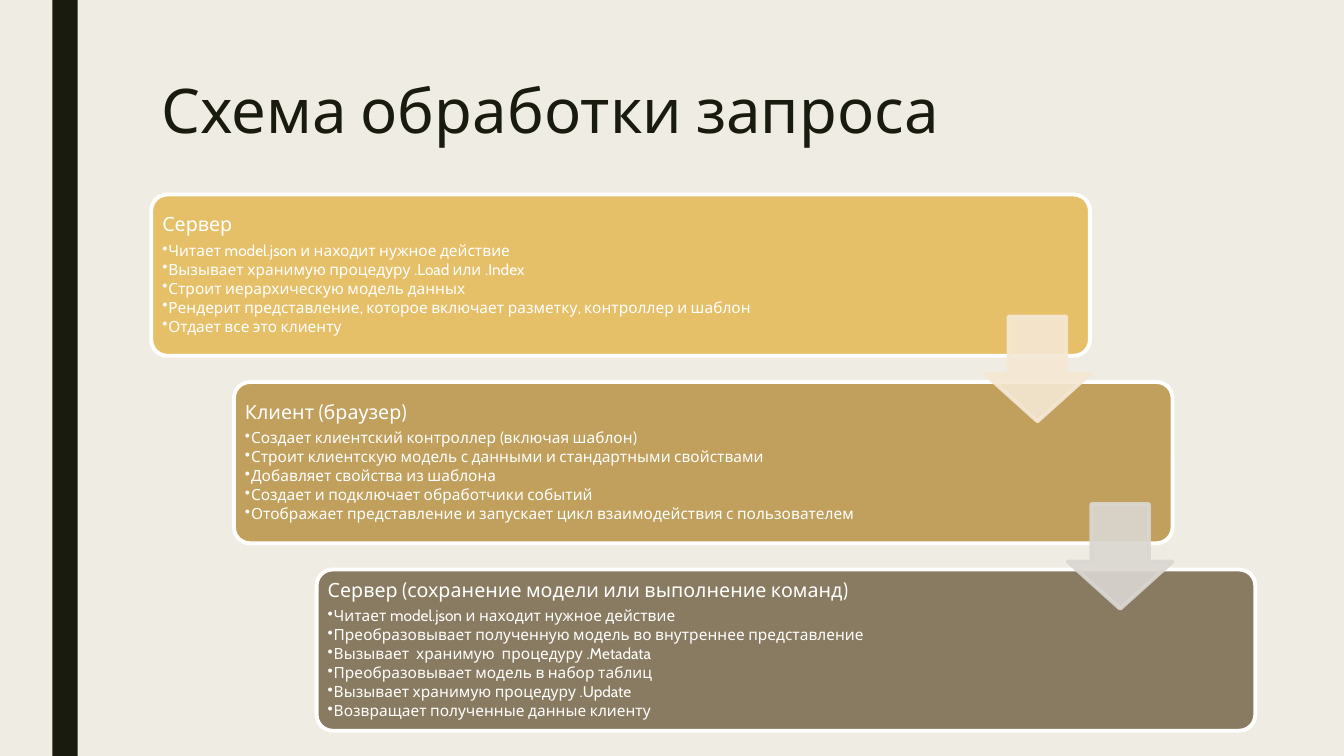
from dataclasses import dataclass

from lxml.etree import SubElement
from pptx import Presentation
from pptx.dml.color import RGBColor
from pptx.enum.shapes import MSO_SHAPE as Preset
from pptx.enum.text import MSO_ANCHOR as Anchor, PP_ALIGN as Align
from pptx.oxml.ns import qn
from pptx.shapes.autoshape import Shape
from pptx.slide import Slide
from pptx.util import Emu, Pt

PX = 9144  # EMU; 100 px to the inch
FONT = "Cabin"
COLORS = {
    "background": "EFEDE3",
    "ink": "191B0E",
    "white": "FFFFFF",
    "gold": "E6C069",
    "ochre": "C0A05C",
    "brown": "897B61",
    "cream": "F5E8D4",
    "gray": "DAD7D2",
}

CARD_LEFT, CARD_TOP, CARD_WIDTH, CARD_HEIGHT = 150, 193, 931, 160
STEP_X, STEP_Y = 82, 186
TEXT_INSET = 5
ARROW_LEFT, ARROW_TOP, ARROW_SIZE = 977, 314, 104
BULLET_INDENT = 6


@dataclass(frozen=True)
class Stage:
    heading: str
    color: str
    text_width: int
    actions: tuple[str, ...]


STAGES = (
    Stage("Сервер", "gold", 758, (
        "Читает model.json и находит нужное действие",
        "Вызывает хранимую процедуру .Load или .Index",
        "Строит иерархическую модель данных",
        "Рендерит представление, которое включает разметку, контроллер и шаблон",
        "Отдает все это клиенту",
    )),
    Stage("Клиент (браузер)", "ochre", 735, (
        "Создает клиентский контроллер (включая шаблон)",
        "Строит клиентскую модель с данными и стандартными свойствами",
        "Добавляет свойства из шаблона",
        "Создает и подключает обработчики событий",
        "Отображает представление и запускает цикл взаимодействия с пользователем",
    )),
    Stage("Сервер (сохранение модели или выполнение команд)", "brown", 735, (
        "Читает model.json и находит нужное действие",
        "Преобразовывает полученную модель во внутреннее представление",
        "Вызывает  хранимую  процедуру .Metadata",
        "Преобразовывает модель в набор таблиц",
        "Вызывает хранимую процедуру .Update",
        "Возвращает полученные данные клиенту",
    )),
)
ARROW_COLORS = ("cream", "gray")


def px(value: int) -> Emu:
    return Emu(value * PX)


def rgb(name: str) -> RGBColor:
    return RGBColor.from_string(COLORS[name])


def add_preset(slide: Slide, preset: Preset, left: int, top: int, width: int,
               height: int, fill: str, line: str | None = None) -> Shape:
    shape = slide.shapes.add_shape(preset, px(left), px(top), px(width), px(height))
    shape.shadow.inherit = False
    shape.fill.solid()
    shape.fill.fore_color.rgb = rgb(fill)
    if line is None:
        shape.line.fill.background()
    else:
        shape.line.color.rgb = rgb(line)
        shape.line.width = Pt(2.75)
    return shape


def add_text_box(slide: Slide, left: int, top: int, width: int, height: int) -> Shape:
    box = slide.shapes.add_textbox(px(left), px(top), px(width), px(height))
    box.text_frame.word_wrap = True
    return box


def write_paragraph(paragraph, text: str, size: int, color: str,
                    spacing: float) -> None:
    paragraph.alignment = Align.LEFT
    paragraph.line_spacing = spacing
    run = paragraph.add_run()
    run.text = text
    run.font.name = FONT
    run.font.size = Pt(size)
    run.font.color.rgb = rgb(color)


def set_space_after(paragraph, percent: int) -> None:
    """Set spacing as a share of the text size; follows the line spacing."""
    space = SubElement(paragraph._p.get_or_add_pPr(), qn("a:spcAft"))
    SubElement(space, qn("a:spcPct")).set("val", str(percent * 1000))


def add_bullet(paragraph) -> None:
    paragraph.level = 1
    properties = paragraph._p.get_or_add_pPr()
    properties.set("marL", str(px(BULLET_INDENT)))
    properties.set("indent", str(-px(BULLET_INDENT)))
    SubElement(properties, qn("a:buChar")).set("char", "•")


def add_stage(slide: Slide, stage: Stage, left: int, top: int) -> None:
    card = add_preset(slide, Preset.ROUNDED_RECTANGLE, left, top,
                      CARD_WIDTH, CARD_HEIGHT, stage.color, "white")
    card.adjustments[0] = 0.1

    box = add_text_box(slide, left + TEXT_INSET, top + TEXT_INSET,
                       stage.text_width, CARD_HEIGHT - 2 * TEXT_INSET)
    frame = box.text_frame
    frame.vertical_anchor = Anchor.MIDDLE
    frame.margin_left = frame.margin_right = px(6)
    frame.margin_top = frame.margin_bottom = px(6)
    heading = frame.paragraphs[0]
    write_paragraph(heading, stage.heading, 14, "white", 0.9)
    set_space_after(heading, 35)
    for action in stage.actions:
        paragraph = frame.add_paragraph()
        write_paragraph(paragraph, action, 11, "white", 0.9)
        set_space_after(paragraph, 15)
        add_bullet(paragraph)


def add_arrow(slide: Slide, left: int, top: int, color: str) -> None:
    arrow = add_preset(slide, Preset.DOWN_ARROW, left, top,
                       ARROW_SIZE, ARROW_SIZE, color, color)
    arrow.adjustments[0] = 0.55
    arrow.adjustments[1] = 0.45
    for tone in arrow._element.spPr.iter(qn("a:srgbClr")):
        SubElement(tone, qn("a:alpha")).set("val", "90000")


def main() -> None:
    presentation = Presentation()
    presentation.slide_width = px(1333)
    presentation.slide_height = px(750)
    slide = presentation.slides.add_slide(presentation.slide_layouts[6])
    slide.background.fill.solid()
    slide.background.fill.fore_color.rgb = rgb("background")

    add_preset(slide, Preset.RECTANGLE, 52, 0, 25, 750, "ink")
    title = add_text_box(slide, 150, 75, 1050, 162)
    write_paragraph(title.text_frame.paragraphs[0], "Схема обработки запроса",
                    44, "ink", 0.89)

    for index, stage in enumerate(STAGES):
        add_stage(slide, stage, CARD_LEFT + index * STEP_X, CARD_TOP + index * STEP_Y)
    for index, color in enumerate(ARROW_COLORS):
        add_arrow(slide, ARROW_LEFT + index * STEP_X, ARROW_TOP + index * STEP_Y, color)

    presentation.save("out.pptx")


if __name__ == "__main__":
    main()
